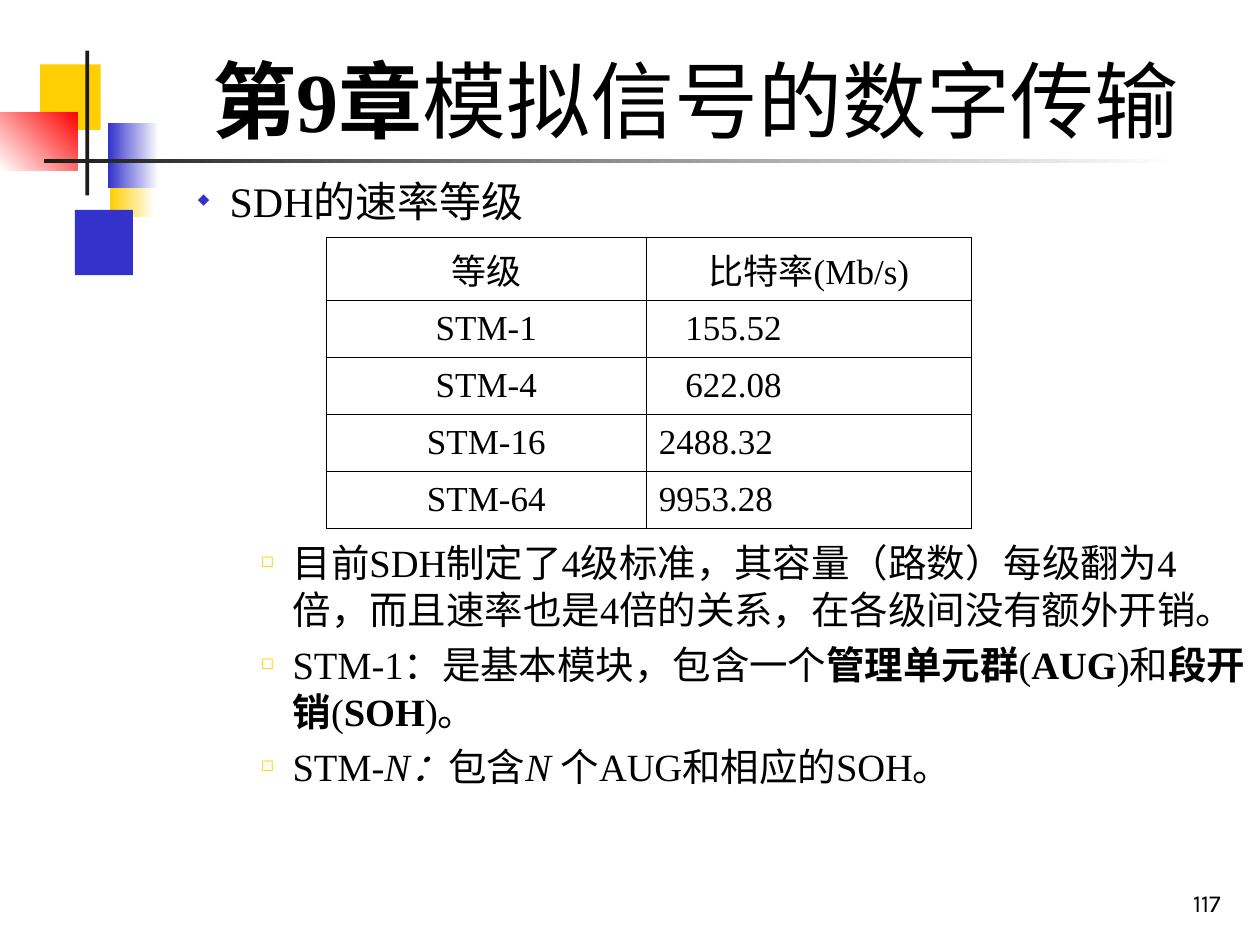
import pptx
import pptx.dml.color
import pptx.enum.shapes
import pptx.enum.text
import pptx.oxml
import pptx.oxml.ns
import pptx.util

Cm, Pt = pptx.util.Cm, pptx.util.Pt
ALIGN = pptx.enum.text.PP_ALIGN
ANCHOR = pptx.enum.text.MSO_ANCHOR

COLORS = {"black": "000000", "white": "FFFFFF", "ink": "1C1C1C",
          "yellow": "FFCF01", "blue": "3333CC", "red": "FF0000"}
SERIF = "Times New Roman"

# left, top, width, height in cm; start colour, end colour, gradient angle
ORNAMENTS = [
    ((2.22, 3.05, 0.91, 1.32), "white", "yellow", 180),
    ((1.51, 4.23, 1.17, 1.32), "blue", None, 0),
    ((0.81, 1.3, 1.22, 1.32), "yellow", None, 0),
    ((2.18, 2.48, 1.02, 1.32), "white", "blue", 180),
    ((0, 2.26, 1.57, 1.17), "red", "white", 225),
    ((1.72, 1.02, 0.08, 2.92), "ink", None, 0),
    ((0.89, 3.2, 22.86, 0.08), "white", "ink", 180),
]

# spans are (text, style), where style is "", "b" or "i"
TITLE = [("第9章", "b"), ("模拟信号的数字传输", "")]
TOPIC = [("SDH的速率等级", "")]
POINTS = [
    [("目前SDH制定了4级标准，其容量（路数）每级翻为4倍，而且速率也是4倍的关系，"
      "在各级间没有额外开销。", "")],
    [("STM-1：是基本模块，包含一个", ""), ("管理单元群", "b"), ("(", ""),
     ("AUG", "b"), (")和", ""), ("段开销", "b"), ("(", ""), ("SOH", "b"),
     (")。", "")],
    [("STM-", ""), ("N：", "i"), ("包含", ""), ("N ", "i"),
     ("个AUG和相应的SOH。", "")],
]
PAGE_NUMBER = [("117", "")]

RATES = [("等级", "比特率(Mb/s)"), ("STM-1", "155.52"), ("STM-4", "622.08"),
         ("STM-16", "2488.32"), ("STM-64", "9953.28")]
TABLE_LEFT, TABLE_TOP = 6.58, 4.78
COLUMN_WIDTHS = (6.45, 6.55)
HEADER_HEIGHT, ROW_HEIGHT = 1.27, 1.15
DIGIT_INDENT = 0.53
TABLE_GAP = 179  # points left between topic and first point for the table


def rgb(name):
    return pptx.dml.color.RGBColor.from_string(COLORS[name])


def add_spans(para, spans, size, font=SERIF):
    for text, style in spans:
        span = para.add_run()
        span.text = text
        span.font.name = font
        span.font.size = Pt(size)
        span.font.bold = style == "b"
        span.font.italic = style == "i"
        span.font.color.rgb = rgb("black")


def add_box(page, place, anchor=ANCHOR.TOP):
    frame = page.shapes.add_textbox(*map(Cm, place)).text_frame
    frame.word_wrap = True
    frame.vertical_anchor = anchor
    return frame


def set_bullet(para, left, char, color, percent):
    """Add a hanging bullet and keep punctuation inside the right margin."""
    props = para._p.get_or_add_pPr()
    props.set("marL", str(Cm(left)))
    props.set("indent", str(Cm(-0.64)))
    props.set("hangingPunct", "0")
    namespace = pptx.oxml.ns.nsdecls("a")
    for tag in (f'<a:buClr {namespace}><a:srgbClr val="{COLORS[color]}"/></a:buClr>',
                f'<a:buSzPct {namespace} val="{percent * 1000}"/>',
                f'<a:buChar {namespace} char="{char}"/>'):
        props.append(pptx.oxml.parse_xml(tag))


def set_borders(cell):
    props = cell._tc.get_or_add_tcPr()
    for position, side in enumerate("LRTB"):
        props.insert(position, pptx.oxml.parse_xml(
            f'<a:ln{side} {pptx.oxml.ns.nsdecls("a")} w="{Pt(0.45)}"><a:solidFill>'
            f'<a:srgbClr val="{COLORS["black"]}"/></a:solidFill></a:ln{side}>'))


def add_ornament(page, place, start, end, angle):
    shape = page.shapes.add_shape(
        pptx.enum.shapes.MSO_SHAPE.RECTANGLE, *map(Cm, place))
    shape.shadow.inherit = False
    shape.line.fill.background()
    if end is None:
        shape.fill.solid()
        shape.fill.fore_color.rgb = rgb(start)
        return
    shape.fill.gradient()
    shape.fill.gradient_angle = angle
    for stop, color in zip(shape.fill.gradient_stops, (start, end)):
        stop.color.rgb = rgb(color)


def add_rate_table(page):
    height = HEADER_HEIGHT + ROW_HEIGHT * (len(RATES) - 1)
    table = page.shapes.add_table(
        len(RATES), len(COLUMN_WIDTHS), Cm(TABLE_LEFT), Cm(TABLE_TOP),
        Cm(sum(COLUMN_WIDTHS)), Cm(height)).table
    table.first_row = table.horz_banding = False
    for column, width in zip(table.columns, COLUMN_WIDTHS):
        column.width = Cm(width)
    for r, texts in enumerate(RATES):
        table.rows[r].height = Cm(ROW_HEIGHT if r else HEADER_HEIGHT)
        for c, text in enumerate(texts):
            cell = table.cell(r, c)
            cell.fill.background()
            cell.vertical_anchor = ANCHOR.MIDDLE
            set_borders(cell)
            para = cell.text_frame.paragraphs[0]
            is_number = r > 0 and c == 1
            para.alignment = ALIGN.LEFT if is_number else ALIGN.CENTER
            if is_number and text.index(".") == 3:
                para._p.get_or_add_pPr().set("marL", str(Cm(DIGIT_INDENT)))
            add_spans(para, [(text, "")], 20)


def main():
    deck = pptx.Presentation()
    deck.slide_width, deck.slide_height = Cm(25.4), Cm(19.05)
    page = deck.slides.add_slide(deck.slide_layouts[6])

    for ornament in ORNAMENTS:
        add_ornament(page, *ornament)

    title = add_box(page, (3.2, 0.57, 21.64, 2.57), ANCHOR.BOTTOM).paragraphs[0]
    title.alignment = ALIGN.CENTER
    add_spans(title, TITLE, 48)

    body = add_box(page, (1.2, 3.42, 24.2, 15.63))
    topic = body.paragraphs[0]
    set_bullet(topic, 3.18, "◆", "blue", 36)
    add_spans(topic, TOPIC, 24)
    for i, spans in enumerate(POINTS):
        para = body.add_paragraph()
        set_bullet(para, 4.45, "◻", "yellow", 42)
        para.space_before = Pt(5.5 if i else TABLE_GAP)
        add_spans(para, spans, 22)

    add_rate_table(page)

    number = add_box(page, (19.58, 17.34, 5.28, 1.27), ANCHOR.BOTTOM).paragraphs[0]
    number.alignment = ALIGN.RIGHT
    add_spans(number, PAGE_NUMBER, 14, "Karla")

    deck.save("out.pptx")


if __name__ == "__main__":
    main()
